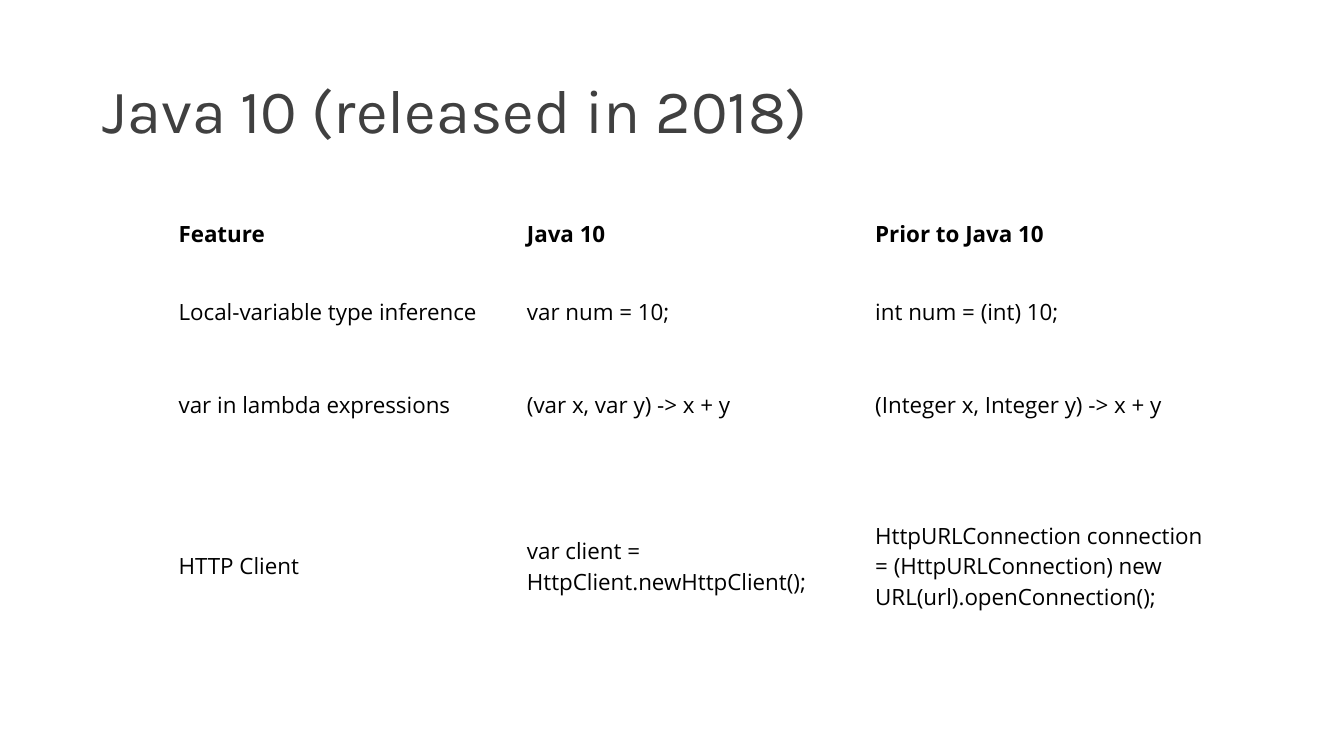
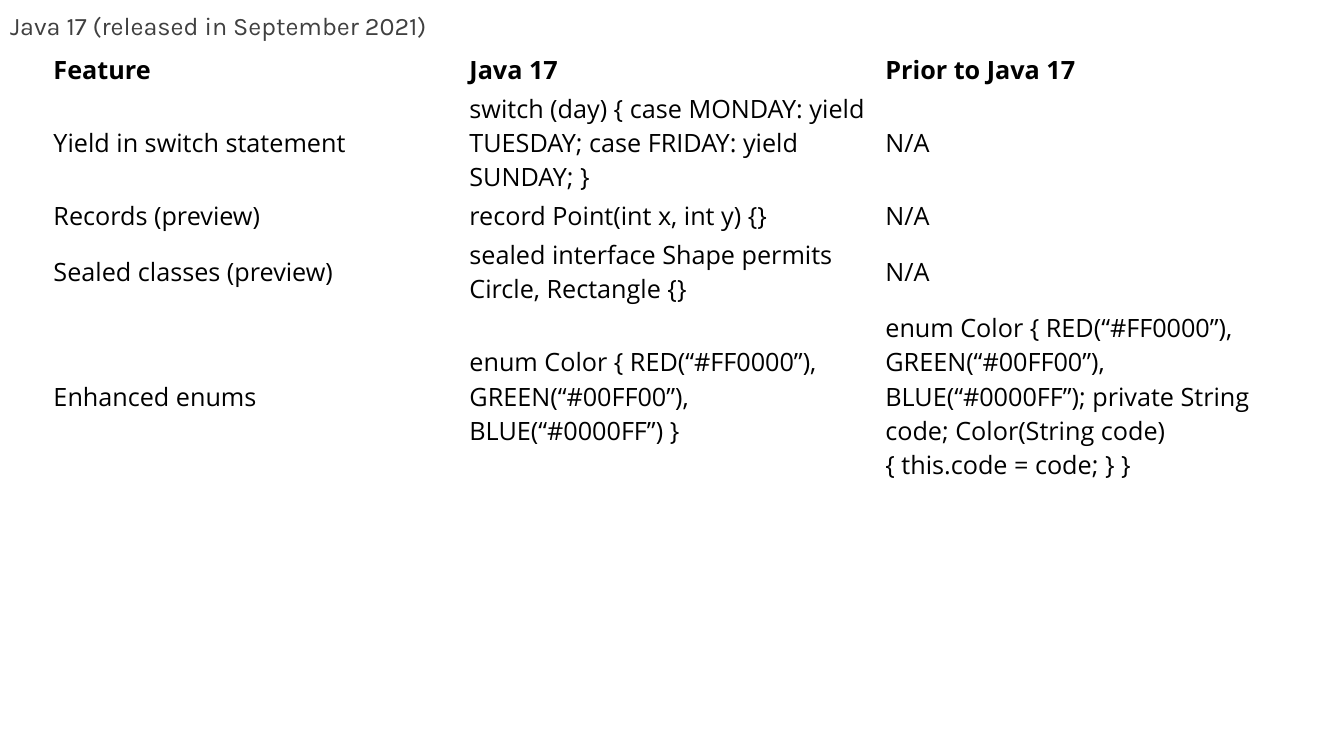
from lxml.etree import SubElement
from pptx import Presentation
from pptx.dml.color import RGBColor
from pptx.enum.text import MSO_ANCHOR, MSO_AUTO_SIZE, PP_ALIGN
from pptx.oxml.ns import qn
from pptx.util import Pt

WHITE = RGBColor(255, 255, 255)
BLACK = RGBColor(0, 0, 0)
GRAY = RGBColor(64, 64, 64)

SLIDES = [
    {
        "title": "Java 10 (released in 2018)",
        "box": (66, 28.8, 828, 104.4),
        "head": {"size": Pt(44), "spacing": 0.9},
        "grid": {"left": 121, "top": 144, "col": 248.8, "size": 16, "inset": (6.6, 3.3)},
        "rows": [
            (46, "Feature", "Java 10", "Prior to Java 10"),
            (66, "Local-variable type inference", "var num = 10;", "int num = (int) 10;"),
            (66, "var in lambda expressions", "(var x, var y) -> x + y",
             "(Integer x, Integer y) -> x + y"),
            (165, "HTTP Client", "var client = HttpClient.newHttpClient();",
             "HttpURLConnection connection = (HttpURLConnection) new "
             "URL(url).openConnection();"),
        ],
    },
    {
        "title": "Java 17 (released in September 2021)",
        "box": (0, 0, 960, 36),
        "head": {"size": Pt(18), "spacing": 1.0},
        "grid": {"left": 34.6, "top": 36, "col": 297.1, "size": 18, "inset": (3.6, 1.6)},
        "rows": [
            (23, "Feature", "Java 17", "Prior to Java 17"),
            (62, "Yield in switch statement",
             "switch (day) { case MONDAY: yield TUESDAY; case FRIDAY: yield SUNDAY; }", "N/A"),
            (23, "Records (preview)", "record Point(int x, int y) {}", "N/A"),
            (42.5, "Sealed classes (preview)",
             "sealed interface Shape permits Circle, Rectangle {}", "N/A"),
            (101.5, "Enhanced enums",
             "enum Color { RED(“#FF0000”), GREEN(“#00FF00”), BLUE(“#0000FF”) }",
             "enum Color { RED(“#FF0000”), GREEN(“#00FF00”), BLUE(“#0000FF”); "
             "private String code; Color(String code) { this.code = code; } }"),
        ],
    },
]


def put(obj, values):
    for name, value in values.items():
        setattr(obj, name, value)


def style(para, face, size, color, bold=False):
    put(para.font, {"name": face, "size": size, "bold": bold})
    para.font.color.rgb = color
    para.alignment = PP_ALIGN.LEFT


def border(cell):
    props = cell._tc.get_or_add_tcPr()
    for side in ("lnL", "lnR", "lnT", "lnB"):
        line = SubElement(props, qn("a:" + side), w=str(Pt(0.5)))
        fill = SubElement(line, qn("a:solidFill"))
        SubElement(fill, qn("a:srgbClr"), val=str(WHITE))


def add_title(slide, item):
    title = slide.shapes.title
    put(title, dict(zip(("left", "top", "width", "height"), map(Pt, item["box"]))))
    frame = title.text_frame
    frame.text = item["title"]
    put(frame, {"word_wrap": True, "auto_size": MSO_AUTO_SIZE.NONE,
                "vertical_anchor": MSO_ANCHOR.MIDDLE})
    para = frame.paragraphs[0]
    style(para, "Karla", item["head"]["size"], GRAY)
    para.line_spacing = item["head"]["spacing"]


def add_grid(slide, grid, rows):
    count = len(rows[0]) - 1
    high = sum(row[0] for row in rows)
    table = slide.shapes.add_table(
        len(rows), count, Pt(grid["left"]), Pt(grid["top"]),
        Pt(grid["col"] * count), Pt(high)).table
    table.horz_banding = False
    for col in table.columns:
        col.width = Pt(grid["col"])
    side, edge = map(Pt, grid["inset"])
    look = {"margin_left": side, "margin_right": side, "margin_top": edge,
            "margin_bottom": edge, "vertical_anchor": MSO_ANCHOR.MIDDLE}
    for r, (height, *texts) in enumerate(rows):
        table.rows[r].height = Pt(height)
        for c, text in enumerate(texts):
            cell = table.cell(r, c)
            cell.text = text
            put(cell, look)
            border(cell)
            cell.fill.solid()
            cell.fill.fore_color.rgb = WHITE
            style(cell.text_frame.paragraphs[0], "Open Sans",
                  Pt(grid["size"]), BLACK, r == 0)


def main():
    deck = Presentation()
    put(deck, {"slide_width": Pt(960), "slide_height": Pt(540)})
    for item in SLIDES:
        slide = deck.slides.add_slide(deck.slide_layouts[5])
        add_title(slide, item)
        add_grid(slide, item["grid"], item["rows"])
    deck.save("out.pptx")


if __name__ == "__main__":
    main()
